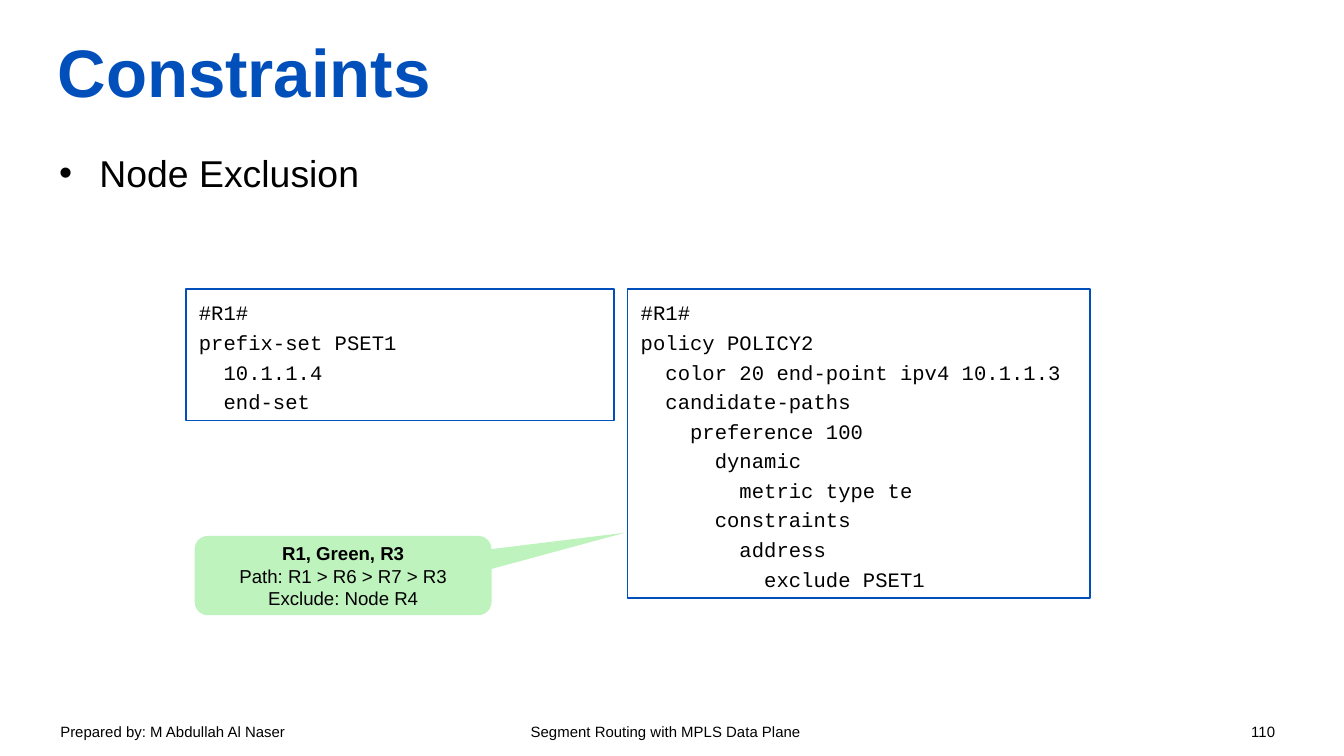
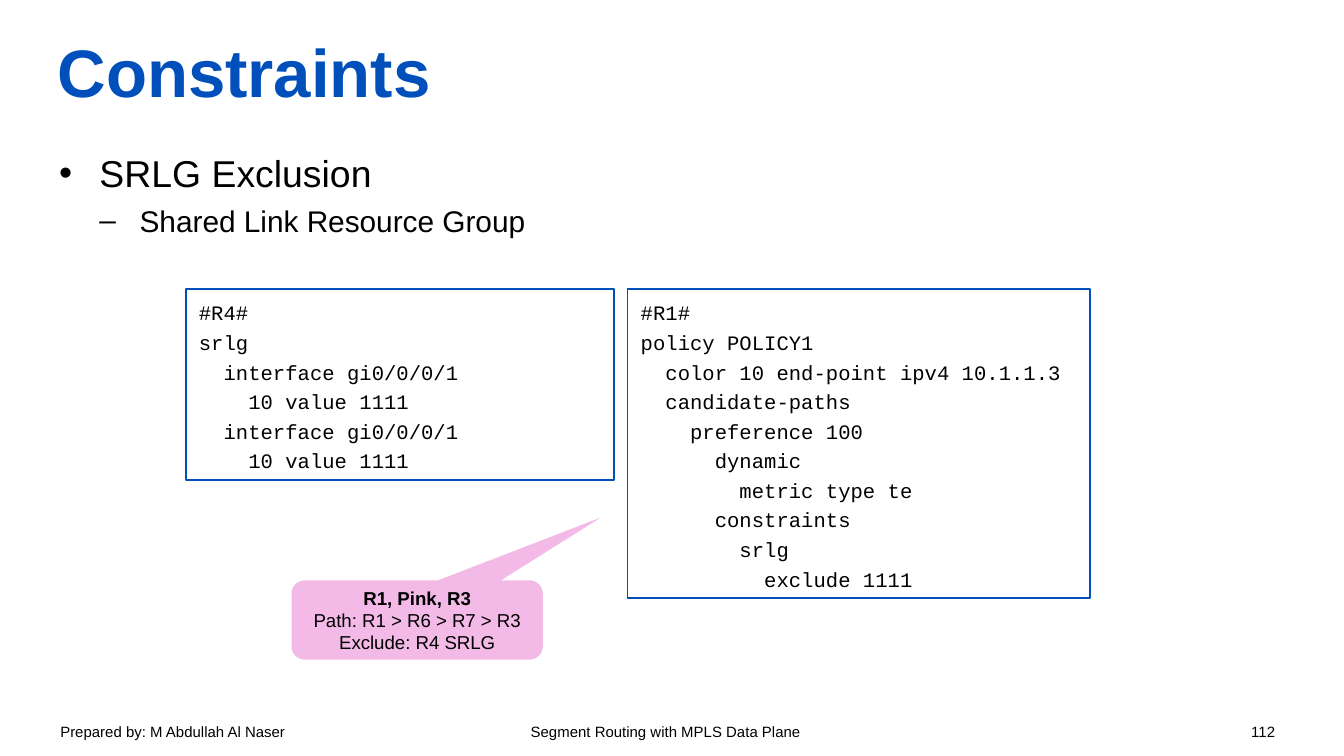
import pptx
import pptx.dml.color
import pptx.enum.shapes
import pptx.enum.text
import pptx.oxml.ns
import pptx.util
from lxml import etree

Cm, Pt = pptx.util.Cm, pptx.util.Pt
RGBColor = pptx.dml.color.RGBColor
MSO_SHAPE = pptx.enum.shapes.MSO_SHAPE
PP_ALIGN = pptx.enum.text.PP_ALIGN
MSO_ANCHOR = pptx.enum.text.MSO_ANCHOR

BLUE = RGBColor(0x00, 0x4F, 0xBB)
BLACK = RGBColor(0x00, 0x00, 0x00)
GREEN = RGBColor(0xBF, 0xF3, 0xBE)
PINK = RGBColor(0xF3, 0xBA, 0xE8)

# Text formats
TITLE = {"name": "Arial", "size": Pt(36), "bold": True}
CODE = {"name": "Courier New", "size": Pt(11)}
NOTE = {"name": "Arial", "size": Pt(10)}
NOTE_HEAD = {**NOTE, "bold": True}
FOOTER = {"name": "Arial", "size": Pt(8)}

# Bullet levels: character, text format, space before
LEVELS = [
    ("•", {"name": "Arial", "size": Pt(20)}, Pt(12)),
    ("–", {"name": "Arial", "size": Pt(16)}, Pt(4)),
]
INDENT = Cm(0.76)

# Code boxes: left and width
LEFT_BOX = (3.51, 8.1)
RIGHT_BOX = (11.86, 8.74)
CODE_TOP, CODE_LINE, CODE_PADDING = 5.46, 0.56, 0.25


class Deck:
    """Holds the presentation, its style and the current slide."""

    def __init__(self):
        self.prs = pptx.Presentation()
        self.prs.slide_width, self.prs.slide_height = Cm(25.4), Cm(14.29)
        self.s = None

    def slide(self, title, number):
        self.s = self.prs.slides.add_slide(self.prs.slide_layouts[6])
        self.footer(number)
        tf = self.text_box(1.09, 0.15, 23.19, 2.39, margin=0)
        tf.vertical_anchor = MSO_ANCHOR.MIDDLE
        self.add_text(tf.paragraphs[0], title, TITLE, BLUE)

    def text_box(self, x, y, w, h, margin=None):
        tf = self.s.shapes.add_textbox(Cm(x), Cm(y), Cm(w), Cm(h)).text_frame
        tf.word_wrap = True
        if margin is not None:
            for side in ("left", "top", "right", "bottom"):
                setattr(tf, f"margin_{side}", Cm(margin))
        return tf

    def add_text(self, p, text, fmt, color=BLACK):
        r = p.add_run()
        r.text = text
        for key, value in fmt.items():
            setattr(r.font, key, value)
        r.font.color.rgb = color

    def paragraphs(self, tf, items):
        """Yield a paragraph of the frame with each item."""
        for i, item in enumerate(items):
            yield (tf.add_paragraph() if i else tf.paragraphs[0]), item

    def p_element(self, parent, tag, **attrs):
        qn = pptx.oxml.ns.qn(f"a:{tag}")
        return etree.SubElement(parent, qn, {k: str(v) for k, v in attrs.items()})

    def footer(self, number):
        p = self.text_box(0.89, 13.54, 23.67, 0.64).paragraphs[0]
        tabs = self.p_element(p._p.get_or_add_pPr(), "tabLst")
        for pos, algn in ((8.89, "l"), (22.96, "r")):
            self.p_element(tabs, "tab", pos=int(Cm(pos)), algn=algn)
        text = f"Prepared by: M Abdullah Al Naser\tSegment Routing with MPLS Data Plane\t{number}"
        self.add_text(p, text, FOOTER)

    def bullets(self, *items):
        """Each item is a pair of level and text."""
        tf = self.text_box(1.12, 2.84, 23.19, 10.49, margin=0)
        for i, (p, (level, text)) in enumerate(self.paragraphs(tf, items)):
            char, fmt, space = LEVELS[level]
            p.level = level
            pPr = p._p.get_or_add_pPr()
            pPr.set("marL", str(INDENT * (level + 1)))
            pPr.set("indent", str(-INDENT))
            self.p_element(pPr, "buFont", typeface="Arial")
            self.p_element(pPr, "buChar", char=char)
            if i:
                p.space_before = space
            self.add_text(p, text, fmt)

    def shape(self, kind, x, y, w, h, fill=None, line=None):
        sp = self.s.shapes.add_shape(kind, Cm(x), Cm(y), Cm(w), Cm(h))
        sp.shadow.inherit = False
        for part, color in ((sp.fill, fill), (sp.line.fill, line)):
            if color is None:
                part.background()
            else:
                part.solid()
                part.fore_color.rgb = color
        sp.text_frame.word_wrap = True
        return sp

    def code(self, box, text):
        x, w = box
        lines = text.strip().split("\n")
        h = CODE_PADDING + CODE_LINE * len(lines)
        sp = self.shape(MSO_SHAPE.RECTANGLE, x, CODE_TOP, w, h, line=BLUE)
        sp.line.width = Pt(1)
        sp.text_frame.vertical_anchor = MSO_ANCHOR.TOP
        for p, line in self.paragraphs(sp.text_frame, lines):
            p.alignment, p.line_spacing = PP_ALIGN.LEFT, 1.2
            self.add_text(p, line, CODE)

    def callout(self, x, y, w, fill, tip, lines):
        sp = self.shape(MSO_SHAPE.ROUNDED_RECTANGULAR_CALLOUT, x, y, w, 1.5, fill=fill)
        sp.adjustments[0], sp.adjustments[1] = tip
        sp.text_frame.vertical_anchor = MSO_ANCHOR.MIDDLE
        for i, (p, line) in enumerate(self.paragraphs(sp.text_frame, lines)):
            p.alignment = PP_ALIGN.CENTER
            self.add_text(p, line, NOTE if i else NOTE_HEAD)

    def policy(self, name, color, constraint, excluded):
        self.code(RIGHT_BOX, f"""
#R1#
policy {name}
  color {color} end-point ipv4 10.1.1.3
  candidate-paths
    preference 100
      dynamic
        metric type te
      constraints
        {constraint}
          exclude {excluded}
""")


def main():
    deck = Deck()

    # Node exclusion
    deck.slide("Constraints", 110)
    deck.bullets((0, "Node Exclusion"))
    deck.policy("POLICY2", 20, "address", "PSET1")
    deck.code(LEFT_BOX, """
#R1#
prefix-set PSET1
  10.1.1.4
  end-set
""")
    deck.callout(3.68, 10.13, 5.61, GREEN, (0.95, -0.54),
                 ["R1, Green, R3", "Path: R1 > R6 > R7 > R3", "Exclude: Node R4"])

    # SRLG exclusion
    deck.slide("Constraints", 112)
    deck.bullets((0, "SRLG Exclusion"), (1, "Shared Link Resource Group"))
    deck.policy("POLICY1", 10, "srlg", "1111")
    deck.code(LEFT_BOX, """
#R4#
srlg
  interface gi0/0/0/1
    10 value 1111
  interface gi0/0/0/1
    10 value 1111
""")
    deck.callout(5.51, 10.97, 4.75, PINK, (0.73, -1.29),
                 ["R1, Pink, R3", "Path: R1 > R6 > R7 > R3", "Exclude: R4 SRLG"])

    deck.prs.save("out.pptx")


if __name__ == "__main__":
    main()
